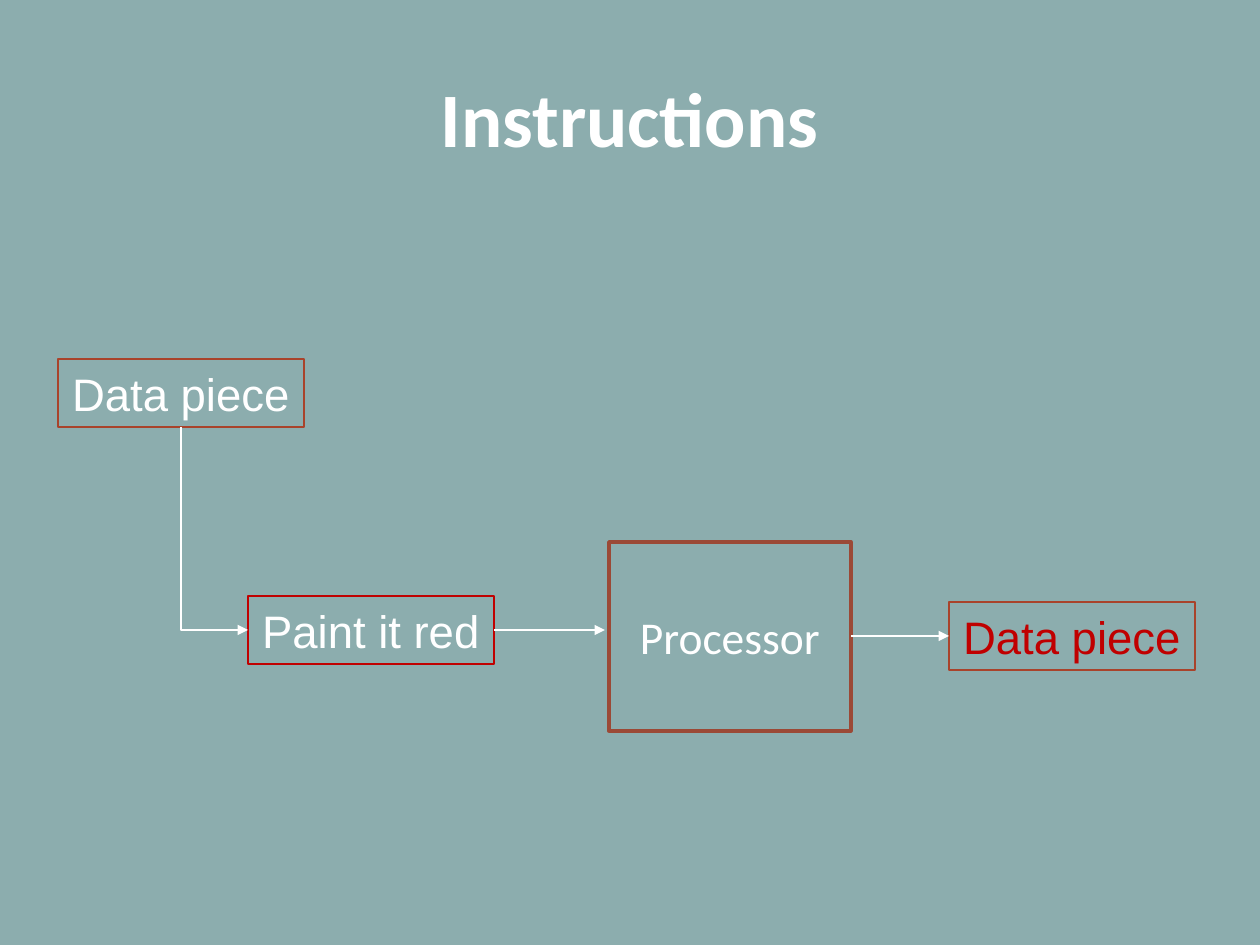
from lxml.etree import SubElement
from pptx import Presentation
from pptx.dml.color import RGBColor
from pptx.enum.shapes import MSO_CONNECTOR as Link, MSO_SHAPE as Shape
from pptx.enum.text import MSO_ANCHOR as Anchor, PP_ALIGN as Align
from pptx.oxml.ns import qn
from pptx.util import Emu, Pt

PX_PER_INCH = 126
SLIDE_SIZE = 1260, 945
BACKGROUND, WHITE, RED, RUST, BRICK = "8CADAE", "FFFFFF", "C00000", "A9432B", "9B4936"

TITLE = "Instructions"
TITLE_AREA = 63, 38, 1134, 157
LABEL_SIZE = 246, 68

# (text, left, top, text colour, line colour, line width in points)
LABELS = {
    "input": ("Data piece", 58, 359, WHITE, RUST, 0.75),
    "instruction": ("Paint it red", 248, 596, WHITE, RED, 1),
    "output": ("Data piece", 949, 602, RED, RUST, 0.75),
}
PROCESSOR = "Processor"
PROCESSOR_AREA = 609, 542, 242, 189
ARROW_GAP = 4


def px(value):
    return Emu(round(value * 914400 / PX_PER_INCH))


def color(hex_code):
    return RGBColor.from_string(hex_code)


def write(shape, text, size=26, font="Arial", ink=WHITE, bold=False, wrap=True):
    frame = shape.text_frame
    frame.word_wrap = wrap
    frame.vertical_anchor = Anchor.MIDDLE
    paragraph = frame.paragraphs[0]
    paragraph.alignment = Align.CENTER
    run = paragraph.add_run()
    run.text = text
    run.font.size, run.font.name, run.font.bold = Pt(size), font, bold
    run.font.color.rgb = color(ink)


def add_box(area, line, width, fill=None):
    box = slide.shapes.add_shape(Shape.RECTANGLE, *map(px, area))
    box.shadow.inherit = False
    if fill:
        box.fill.solid()
        box.fill.fore_color.rgb = color(fill)
    else:
        box.fill.background()
    box.line.color.rgb = color(line)
    box.line.width = Pt(width)
    return box


def add_arrow(start, end, kind=Link.STRAIGHT):
    arrow = slide.shapes.add_connector(kind, *map(px, (*start, *end)))
    arrow.line.color.rgb = color(WHITE)
    arrow.line.width = Pt(0.75)
    SubElement(arrow.line._get_or_add_ln(), qn("a:tailEnd"), type="triangle")
    SubElement(arrow._element.spPr, qn("a:effectLst"))
    return arrow


def add_down_right_arrow(start, end):
    """Elbow with one corner: a mirrored two-part connector turned by 270 degrees."""
    (x1, y1), (x2, y2) = start, end
    middle_x, middle_y = (x1 + x2) / 2, (y1 + y2) / 2
    half_run, half_drop = (x2 - x1) / 2, (y2 - y1) / 2
    arrow = add_arrow((middle_x + half_drop, middle_y - half_run),
                      (middle_x - half_drop, middle_y + half_run), Link.ELBOW)
    properties = arrow._element.spPr
    properties.find(qn("a:xfrm")).set("rot", str(270 * 60000))
    properties.find(qn("a:prstGeom")).set("prst", "bentConnector2")


prs = Presentation()
prs.slide_width, prs.slide_height = map(px, SLIDE_SIZE)
slide = prs.slides.add_slide(prs.slide_layouts[6])
slide.background.fill.solid()
slide.background.fill.fore_color.rgb = color(BACKGROUND)

title = slide.shapes.add_textbox(*map(px, TITLE_AREA))
write(title, TITLE, size=44, font="Calibri", bold=True)

for text, left, top, ink, line, width in LABELS.values():
    label = add_box((left, top, *LABEL_SIZE), line, width)
    write(label, text, ink=ink, wrap=False)

processor = add_box(PROCESSOR_AREA, BRICK, 2, fill=BACKGROUND)
write(processor, PROCESSOR, font="Calibri")

label_width, label_height = LABEL_SIZE
_, input_left, input_top, *_ = LABELS["input"]
_, instruction_left, instruction_top, *_ = LABELS["instruction"]
_, output_left, output_top, *_ = LABELS["output"]
processor_left, _, processor_width, _ = PROCESSOR_AREA
instruction_y = instruction_top + label_height / 2
output_y = output_top + label_height / 2

add_down_right_arrow((input_left + label_width / 2, input_top + label_height),
                     (instruction_left, instruction_y))
add_arrow((instruction_left + label_width, instruction_y),
          (processor_left - ARROW_GAP, instruction_y))
add_arrow((processor_left + processor_width, output_y), (output_left, output_y))

prs.save("out.pptx")
